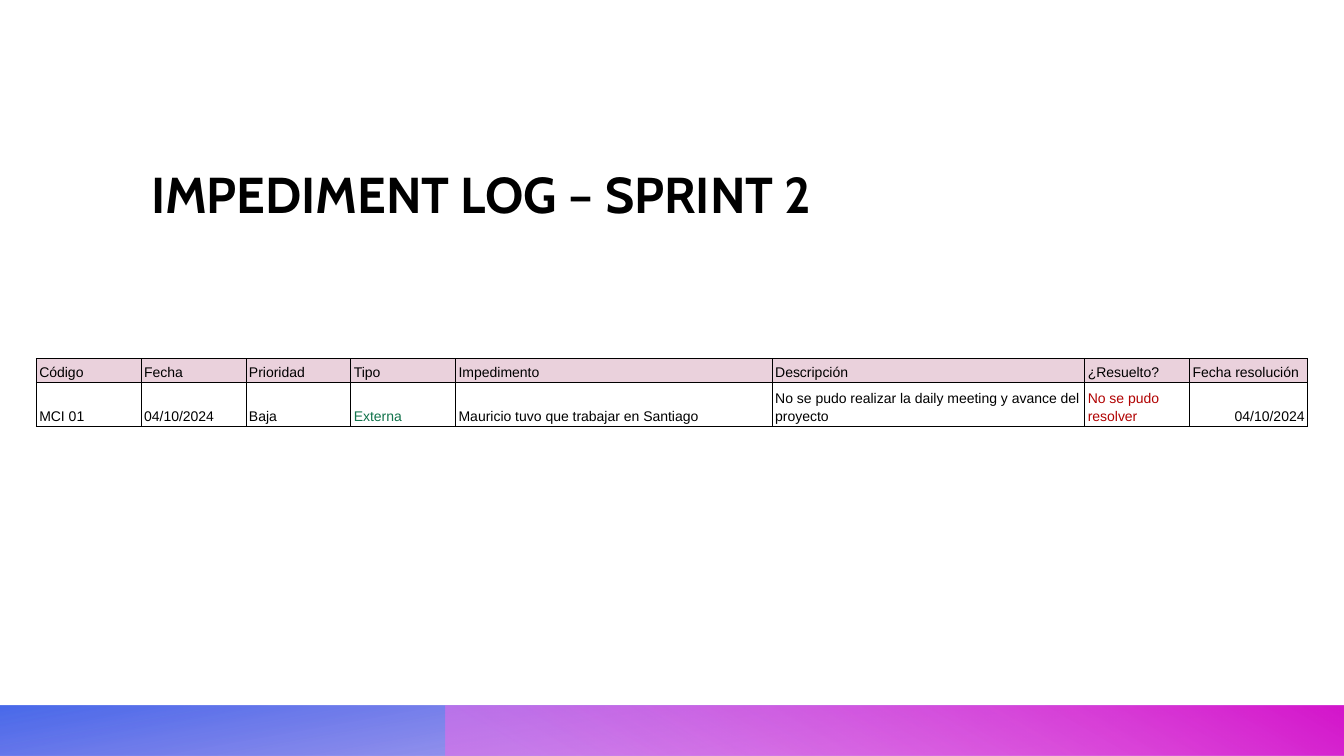
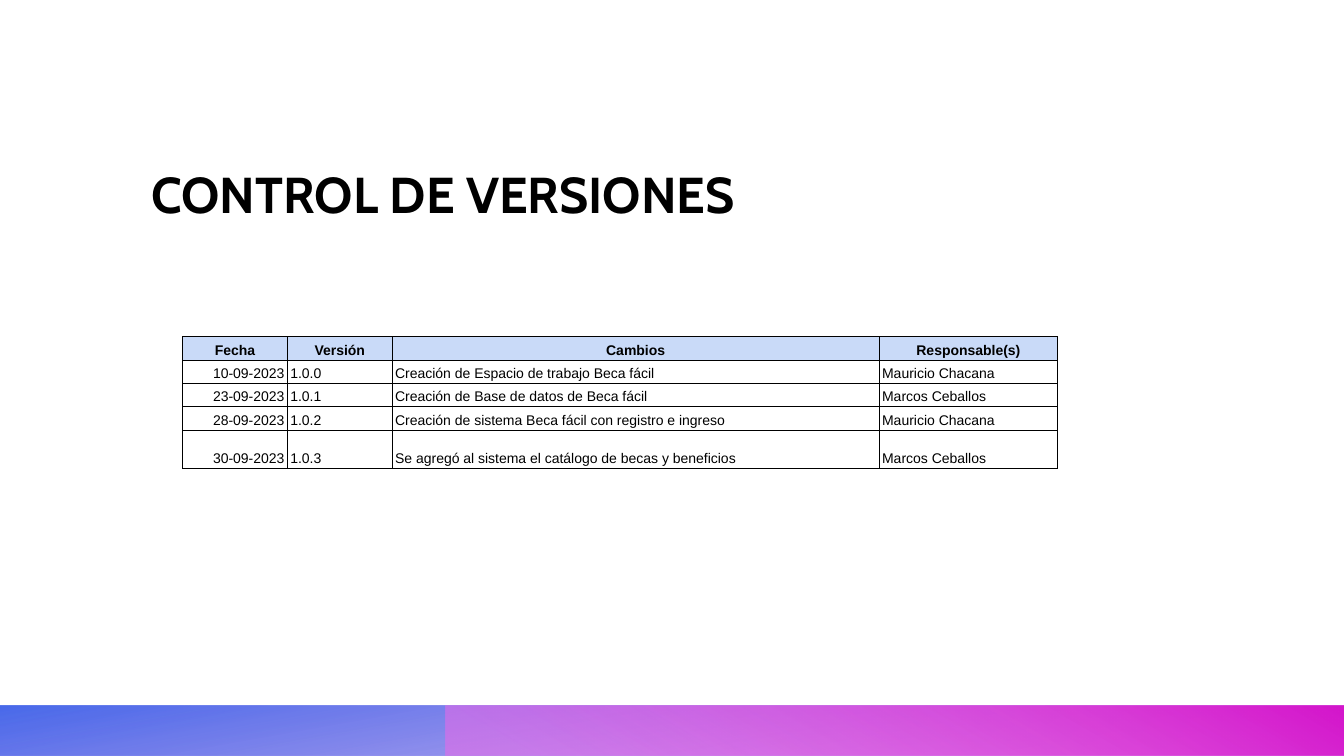
from dataclasses import dataclass, field

import pptx
import pptx.dml.color
import pptx.enum.shapes
import pptx.enum.text
import pptx.oxml
import pptx.oxml.ns
import pptx.presentation
import pptx.shapes.autoshape
import pptx.slide
import pptx.table
import pptx.util

Inches = pptx.util.Inches
Pt = pptx.util.Pt
RGBColor = pptx.dml.color.RGBColor
Align = pptx.enum.text.PP_ALIGN
Anchor = pptx.enum.text.MSO_ANCHOR

# Shared colours and formats
BLACK = RGBColor(0x00, 0x00, 0x00)
GREEN = RGBColor(0x11, 0x73, 0x4B)
RED = RGBColor(0xB1, 0x02, 0x02)
PINK_HEADER = RGBColor(0xEA, 0xD1, 0xDC)
BLUE_HEADER = RGBColor(0xC9, 0xDA, 0xF8)
INDIGO = RGBColor(0x49, 0x22, 0xD7)
BLUE = RGBColor(0x29, 0x50, 0xE7)
PINK = RGBColor(0xEF, 0x68, 0xE9)
MAGENTA = RGBColor(0xD5, 0x17, 0xCC)

SLIDE_WIDTH, SLIDE_HEIGHT, BAND_HEIGHT = 13.33, 7.5, 0.5
TITLE_FONT = {"name": "Cabin", "size": Pt(36), "bold": True}
CELL_FONT = {"name": "Arial", "size": Pt(10)}
TITLE_FRAME = {"word_wrap": True, "vertical_anchor": Anchor.BOTTOM,
               "margin_left": 0, "margin_top": 0, "margin_right": 0, "margin_bottom": 0}
CELL_FORMAT = {"vertical_anchor": Anchor.BOTTOM,
               "margin_left": Inches(0.03), "margin_right": Inches(0.03),
               "margin_top": Inches(0.02), "margin_bottom": Inches(0.02)}
PLAIN_TABLE = {"first_row": False, "horz_banding": False}


@dataclass(frozen=True)
class Stop:
    position: int
    color: RGBColor
    opacity: int = 100


@dataclass(frozen=True)
class Band:
    left: float
    angle: int
    rotation: int
    stops: list[Stop]


@dataclass(frozen=True)
class TableSlide:
    title: str
    left: float
    top: float
    columns: list[float]
    row_heights: list[float]
    rows: list[list[str]]
    header_fill: RGBColor
    border: float
    header_centred: bool = False
    right_column: int = 0
    text_colors: dict[str, RGBColor] = field(default_factory=dict)


BANDS = [
    Band(0, 100, 180, [Stop(0, INDIGO, 28), Stop(14, INDIGO, 28), Stop(100, BLUE, 85)]),
    Band(4.42, 240, 0, [Stop(0, PINK, 55), Stop(9, PINK, 55),
                        Stop(99, MAGENTA), Stop(100, MAGENTA)]),
]

TABLE_SLIDES = [
    TableSlide(
        title="IMPEDIMENT LOG – SPRINT 2",
        left=0.36, top=3.56,
        columns=[1.04, 1.04, 1.04, 1.04, 3.14, 3.1, 1.04, 1.17],
        row_heights=[0.22, 0.44],
        rows=[
            ["Código", "Fecha", "Prioridad", "Tipo", "Impedimento", "Descripción",
             "¿Resuelto?", "Fecha resolución"],
            ["MCI 01", "04/10/2024", "Baja", "Externa",
             "Mauricio tuvo que trabajar en Santiago",
             "No se pudo realizar la daily meeting y avance del proyecto",
             "No se pudo resolver", "04/10/2024"],
        ],
        header_fill=PINK_HEADER, border=0.68, right_column=7,
        text_colors={"Externa": GREEN, "No se pudo resolver": RED},
    ),
    TableSlide(
        title="CONTROL DE VERSIONES",
        left=1.81, top=3.34,
        columns=[1.04, 1.04, 4.83, 1.77],
        row_heights=[0.22, 0.22, 0.22, 0.22, 0.38],
        rows=[
            ["Fecha", "Versión", "Cambios", "Responsable(s)"],
            ["10-09-2023", "1.0.0", "Creación de Espacio de trabajo Beca fácil",
             "Mauricio Chacana"],
            ["23-09-2023", "1.0.1", "Creación de Base de datos de Beca fácil",
             "Marcos Ceballos"],
            ["28-09-2023", "1.0.2", "Creación de sistema Beca fácil con registro e ingreso",
             "Mauricio Chacana"],
            ["30-09-2023", "1.0.3", "Se agregó al sistema el catálogo de becas y beneficios",
             "Marcos Ceballos"],
        ],
        header_fill=BLUE_HEADER, border=0.75, header_centred=True,
    ),
]


def apply_format(target: object, values: dict[str, object]) -> None:
    for name, value in values.items():
        setattr(target, name, value)


def set_gradient(shape: pptx.shapes.autoshape.Shape, band: Band) -> None:
    stops = "".join(
        f'<a:gs pos="{stop.position * 1000}"><a:srgbClr val="{stop.color}">'
        f'<a:alpha val="{stop.opacity * 1000}"/></a:srgbClr></a:gs>'
        for stop in band.stops)
    gradient = pptx.oxml.parse_xml(
        f'<a:gradFill {pptx.oxml.ns.nsdecls("a")} rotWithShape="1"><a:gsLst>{stops}</a:gsLst>'
        f'<a:lin ang="{band.angle * 60000}" scaled="0"/></a:gradFill>')
    shape.fill.background()
    properties = shape.element.spPr
    properties.replace(properties.find(pptx.oxml.ns.qn("a:noFill")), gradient)


def add_band(slide: pptx.slide.Slide, band: Band) -> None:
    shape = slide.shapes.add_shape(
        pptx.enum.shapes.MSO_SHAPE.RECTANGLE,
        Inches(band.left), Inches(SLIDE_HEIGHT - BAND_HEIGHT),
        Inches(SLIDE_WIDTH - band.left), Inches(BAND_HEIGHT))
    shape.shadow.inherit = False
    shape.line.fill.background()
    set_gradient(shape, band)
    shape.rotation = band.rotation
    shape.element.spPr.xfrm.set("flipH", "1")


def write_text(paragraph: object, text: str, font: dict[str, object], color: RGBColor) -> None:
    run = paragraph.add_run()
    run.text = text
    apply_format(run.font, font)
    run.font.color.rgb = color


def add_title(slide: pptx.slide.Slide, title: str) -> None:
    box = slide.shapes.add_textbox(Inches(1.5), Inches(0.87), Inches(11.2), Inches(1.35))
    apply_format(box.text_frame, TITLE_FRAME)
    write_text(box.text_frame.paragraphs[0], title, TITLE_FONT, BLACK)


def add_borders(cell: pptx.table._Cell, width: float) -> None:
    properties = cell._tc.get_or_add_tcPr()
    for side in "LRTB":
        properties.append(pptx.oxml.parse_xml(
            f'<a:ln{side} {pptx.oxml.ns.nsdecls("a")} w="{Pt(width)}">'
            f'<a:solidFill><a:srgbClr val="{BLACK}"/></a:solidFill></a:ln{side}>'))


def add_table(slide: pptx.slide.Slide, content: TableSlide) -> None:
    table = slide.shapes.add_table(
        len(content.rows), len(content.columns), Inches(content.left), Inches(content.top),
        Inches(sum(content.columns)), Inches(sum(content.row_heights))).table
    apply_format(table, PLAIN_TABLE)
    for column, width in zip(table.columns, content.columns):
        column.width = Inches(width)
    for row, height in zip(table.rows, content.row_heights):
        row.height = Inches(height)

    for row_index, texts in enumerate(content.rows):
        is_header = row_index == 0
        for column_index, text in enumerate(texts):
            cell = table.cell(row_index, column_index)
            apply_format(cell, CELL_FORMAT)
            add_borders(cell, content.border)
            if is_header:
                cell.fill.solid()
                cell.fill.fore_color.rgb = content.header_fill
            else:
                cell.fill.background()
            paragraph = cell.text_frame.paragraphs[0]
            paragraph.line_spacing = 1.15
            if is_header and content.header_centred:
                paragraph.alignment = Align.CENTER
            elif not is_header and column_index == content.right_column:
                paragraph.alignment = Align.RIGHT
            else:
                paragraph.alignment = Align.LEFT
            font = CELL_FONT | {"bold": is_header and content.header_centred}
            write_text(paragraph, text, font, content.text_colors.get(text, BLACK))


def add_table_slide(presentation: pptx.presentation.Presentation, content: TableSlide) -> None:
    slide = presentation.slides.add_slide(presentation.slide_layouts[6])
    for band in BANDS:
        add_band(slide, band)
    add_title(slide, content.title)
    add_table(slide, content)


def main() -> None:
    presentation = pptx.Presentation()
    presentation.slide_width = Inches(SLIDE_WIDTH)
    presentation.slide_height = Inches(SLIDE_HEIGHT)
    for content in TABLE_SLIDES:
        add_table_slide(presentation, content)
    presentation.save("out.pptx")


if __name__ == "__main__":
    main()
